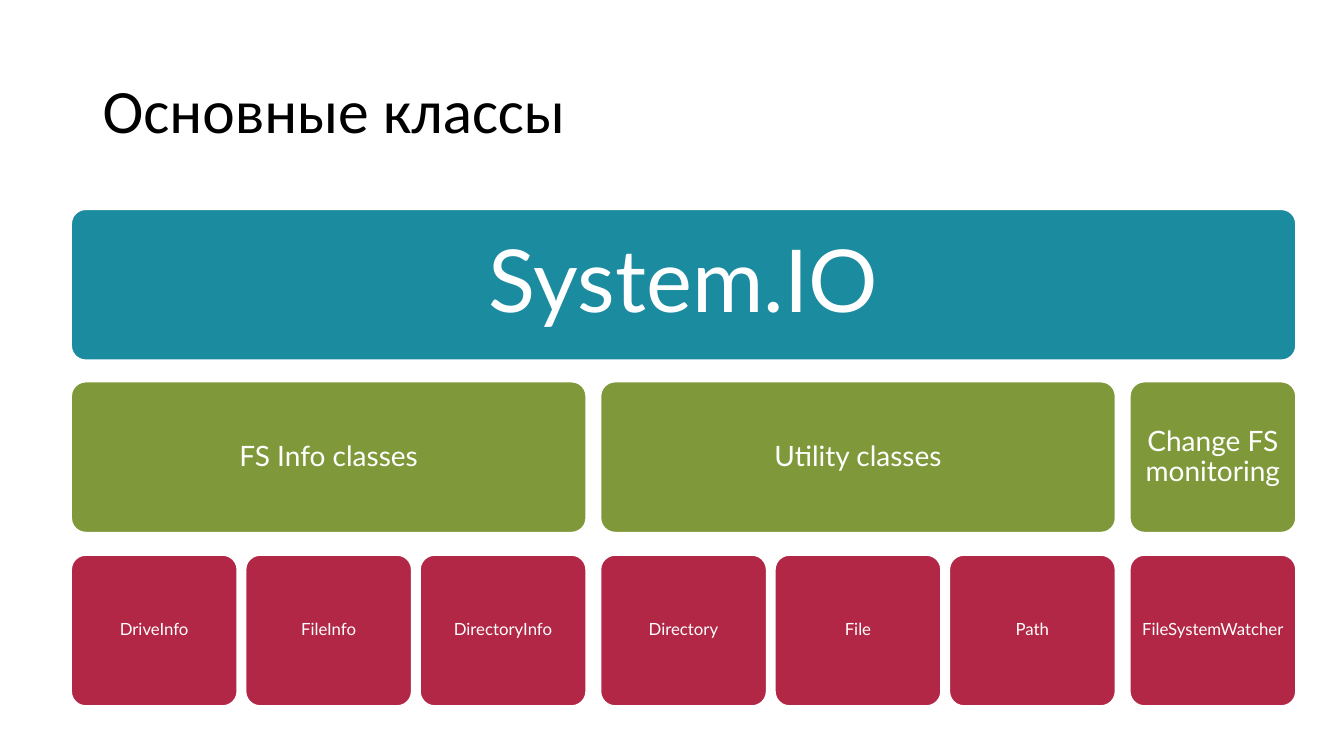
"""Build a slide showing the hierarchy of the main System.IO classes."""
from pptx import Presentation
from pptx.dml.color import RGBColor
from pptx.enum import shapes, text
from pptx.util import Inches, Pt

COLORS = {"black": "000000", "white": "FFFFFF", "root": "1B8BA0",
          "group": "7F993A", "class": "B22746"}
LEVELS = {"root": (2.07, 62, 0.26), "group": (3.78, 20, 0.08), "class": (5.5, 12, 0.04)}
GROUPS = [
    ("FS Info classes", ["DriveInfo", "FileInfo", "DirectoryInfo"]),
    ("Utility classes", ["Directory", "File", "Path"]),
    ("Change FS monitoring", ["FileSystemWatcher"]),
]
LEFT, CARD_W, CARD_H = 0.7, 1.66, 1.51
CLASS_GAP, GROUP_GAP = 0.07, 0.13


def color(name):
    return RGBColor.from_string(COLORS[name])


def set_text(s, words, font, size, fill):
    tf = s.text_frame
    tf.word_wrap = True
    tf.vertical_anchor = text.MSO_ANCHOR.MIDDLE
    tf.text = words
    p = tf.paragraphs[0]
    p.line_spacing = 0.9
    r = p.runs[0]
    r.font.name = font
    r.font.size = Pt(size)
    r.font.color.rgb = color(fill)
    return tf


def add_title(sp, words):
    s = sp.add_textbox(Inches(0.92), Inches(0.4), Inches(11.5), Inches(1.45))
    set_text(s, words, "Calibri", 44, "black")


def add_card(sp, level, words, left, width):
    top, size, inset = LEVELS[level]
    s = sp.add_shape(shapes.MSO_SHAPE.ROUNDED_RECTANGLE,
                     Inches(left), Inches(top), Inches(width), Inches(CARD_H))
    s.adjustments[0] = 0.1
    s.shadow.inherit = False
    s.fill.solid()
    s.fill.fore_color.rgb = color(level)
    s.line.color.rgb = color("white")
    s.line.width = Pt(2)
    tf = set_text(s, words, "Lato", size, "white")
    tf.margin_left = tf.margin_right = tf.margin_top = tf.margin_bottom = Inches(inset)
    tf.paragraphs[0].alignment = text.PP_ALIGN.CENTER
    tf.paragraphs[0].space_after = Pt(size * 0.35)


def add_hierarchy(sp):
    left = LEFT
    for group, classes in GROUPS:
        width = len(classes) * (CARD_W + CLASS_GAP) - CLASS_GAP
        add_card(sp, "group", group, left, width)
        for i, name in enumerate(classes):
            add_card(sp, "class", name, left + i * (CARD_W + CLASS_GAP), CARD_W)
        left += width + GROUP_GAP
    add_card(sp, "root", "System.IO", LEFT, left - GROUP_GAP - LEFT)


def main():
    prs = Presentation()
    prs.slide_width, prs.slide_height = Inches(13.33), Inches(7.5)
    sp = prs.slides.add_slide(prs.slide_layouts[6]).shapes
    add_title(sp, "Основные классы")
    add_hierarchy(sp)
    prs.save("out.pptx")


if __name__ == "__main__":
    main()
